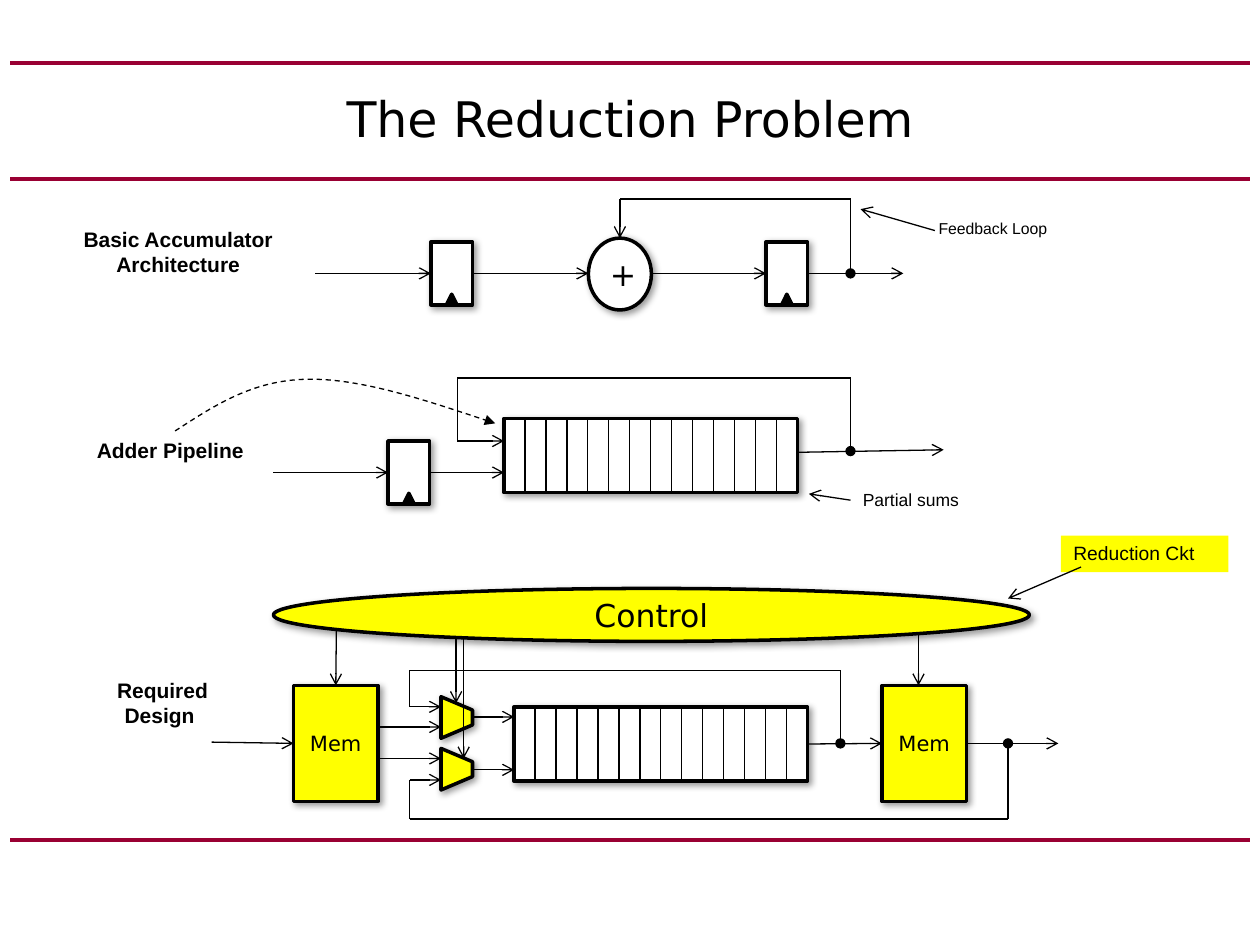
from lxml import etree
from pptx import Presentation
from pptx.dml.color import RGBColor
from pptx.enum.dml import MSO_LINE
from pptx.enum.shapes import MSO_CONNECTOR as CONN, MSO_SHAPE as SHAPE
from pptx.enum.text import MSO_ANCHOR as ANCHOR, PP_ALIGN as ALIGN
from pptx.oxml.ns import qn
from pptx.util import Inches, Pt

COLORS = {"rule": "990033", "ink": "000000", "paper": "FFFFFF", "mark": "FFFF00"}
SANS, ARIAL = "DejaVu Sans", "Arial"
TOP, LEFT, RIGHT = 0, 1, 3


def rgb(name):
    return RGBColor.from_string(COLORS[name])


def inches(*values):
    return [Inches(v) for v in values]


def write(shape, text, size, font=ARIAL, bold=False, align=ALIGN.LEFT, anchor=ANCHOR.TOP):
    tf = shape.text_frame
    tf.word_wrap = True
    tf.vertical_anchor = anchor
    p = tf.paragraphs[0]
    p.alignment = align
    r = p.add_run()
    r.text = text
    for key, value in {"name": font, "size": Pt(size), "bold": bold}.items():
        setattr(r.font, key, value)
    r.font.color.rgb = rgb("ink")


def set_ends(line, **ends):
    ln = line._get_or_add_ln()
    for tag in ("head", "tail"):
        if ends.get(tag):
            etree.SubElement(ln, qn(f"a:{tag}End"), type=ends[tag])


def add_shadow(shape):
    effects = shape._element.spPr.find(qn("a:effectLst"))
    shadow = etree.SubElement(effects, qn("a:outerShdw"), blurRad=str(Pt(4)),
                              dist=str(Pt(2)), dir="2700000", algn="tl", rotWithShape="0")
    color = etree.SubElement(shadow, qn("a:srgbClr"), val=COLORS["ink"])
    etree.SubElement(color, qn("a:alpha"), val="40000")


def add_block(s, kind, box, fill="paper", text="", size=12, shadow=True):
    sp = s.shapes.add_shape(kind, *inches(*box))
    sp.shadow.inherit = False
    sp.fill.solid()
    sp.fill.fore_color.rgb = rgb(fill)
    sp.line.color.rgb = rgb("ink")
    sp.line.width = Pt(2)
    if shadow:
        add_shadow(sp)
    if text:
        write(sp, text, size, SANS, align=ALIGN.CENTER, anchor=ANCHOR.MIDDLE)
    return sp


def add_wire(s, start, end, head=None, tail=None, begin_at=None, end_at=None,
             color="ink", width=0.75):
    wire = s.shapes.add_connector(CONN.STRAIGHT, *inches(*start, *end))
    wire.line.color.rgb = rgb(color)
    wire.line.width = Pt(width)
    set_ends(wire.line, head=head, tail=tail)
    etree.SubElement(wire._element.spPr, qn("a:effectLst"))
    if begin_at:
        wire.begin_connect(*begin_at)
    if end_at:
        wire.end_connect(*end_at)


def add_arrow(s, start, end, **joins):
    add_wire(s, start, end, tail="arrow", **joins)


def add_loop(s, *points):
    last = len(points) - 2
    for i, (start, end) in enumerate(zip(points, points[1:])):
        add_wire(s, start, end, head="oval" if i == 0 else None,
                 tail="arrow" if i == last else None)


def add_register(s, x, y):
    box = add_block(s, SHAPE.RECTANGLE, (x, y, 0.33, 0.5))
    add_block(s, SHAPE.ISOSCELES_TRIANGLE, (x + 0.125, y + 0.415, 0.08, 0.08),
              "ink", shadow=False)
    return box


def add_pipeline(s, x, y, width=2.33, height=0.59, stages=14):
    box = add_block(s, SHAPE.RECTANGLE, (x, y, width, height))
    for i in range(1, stages):
        stage_x = x + i * width / stages
        add_wire(s, (stage_x, y), (stage_x, y + height))
    return box


def add_label(s, box, text, size, fill=None, **style):
    label = s.shapes.add_textbox(*inches(*box))
    if fill:
        label.fill.solid()
        label.fill.fore_color.rgb = rgb(fill)
    write(label, text, size, **style)


def add_dashed_curve(s, start, *points):
    builder = s.shapes.build_freeform(*inches(*start), scale=1.0)
    builder.add_line_segments([inches(*pt) for pt in points], close=False)
    sp = builder.convert_to_shape()
    segments = list(sp._element.iter(qn("a:lnTo")))
    for i in range(0, len(segments), 3):
        bezier = etree.Element(qn("a:cubicBezTo"))
        segments[i].addprevious(bezier)
        for segment in segments[i:i + 3]:
            bezier.append(segment[0])
            segment.getparent().remove(segment)
    sp.shadow.inherit = False
    sp.fill.background()
    sp.line.color.rgb = rgb("ink")
    sp.line.width = Pt(0.75)
    sp.line.dash_style = MSO_LINE.DASH
    set_ends(sp.line, tail="triangle")


def add_title(s, text):
    title = s.shapes.title
    box = dict(zip(("left", "top", "width", "height"), inches(0.5, 0.5, 9, 0.87)))
    for key, value in box.items():
        setattr(title, key, value)
    write(title, text, 28, SANS, align=ALIGN.CENTER, anchor=ANCHOR.MIDDLE)


def add_accumulator(s):
    y = 2.17
    source, result = [add_register(s, x, 1.92) for x in (3.42, 6.08)]
    add_block(s, SHAPE.OVAL, (4.67, 1.89, 0.5, 0.57), text="+", size=18)
    add_arrow(s, (2.5, y), (3.42, y), end_at=(source, LEFT))
    add_arrow(s, (3.75, y), (4.67, y), begin_at=(source, RIGHT))
    add_arrow(s, (5.17, y), (6.08, y), end_at=(result, LEFT))
    add_arrow(s, (6.41, y), (7.17, y), begin_at=(result, RIGHT))
    add_loop(s, (6.75, y), (6.75, 1.58), (4.92, 1.58), (4.92, 1.89))
    add_label(s, (0.5, 1.75, 1.83, 0.51), "Basic Accumulator Architecture", 12,
              bold=True, align=ALIGN.CENTER)
    add_label(s, (7.35, 1.69, 1.08, 0.25), "Feedback Loop", 9)
    add_arrow(s, (7.42, 1.83), (6.83, 1.66))


def add_adder(s):
    source = add_register(s, 3.08, 3.5)
    add_pipeline(s, 4, 3.32)
    add_arrow(s, (2.17, 3.75), (3.08, 3.75), end_at=(source, LEFT))
    add_arrow(s, (3.41, 3.75), (4, 3.75), begin_at=(source, RIGHT))
    add_arrow(s, (6.33, 3.59), (7.49, 3.57))
    add_loop(s, (6.75, 3.58), (6.75, 3), (3.63, 3), (3.63, 3.5), (4, 3.5))
    add_label(s, (6.75, 3.83, 1, 0.27), "Partial sums", 10)
    add_arrow(s, (6.75, 3.97), (6.42, 3.92))
    add_label(s, (0.67, 3.42, 1.83, 0.3), "Adder Pipeline", 12, bold=True)
    add_dashed_curve(s, (1.39, 3.42), (1.7, 3.22), (2, 3.02), (2.43, 3.01),
                     (2.85, 3), (3.39, 3.18), (3.93, 3.36))


def add_required_design(s):
    y = 5.9
    source, result = [add_block(s, SHAPE.RECTANGLE, (x, 5.44, 0.67, 0.92), "mark", "Mem")
                      for x in (2.33, 7)]
    pipeline = add_pipeline(s, 4.08, 5.61)
    for mux_y, out_y, in_y in ((5.57, 5.69, 5.77), (5.98, 6.11, 6.02)):
        mux = add_block(s, SHAPE.TRAPEZOID, (3.46, mux_y, 0.33, 0.25), "mark")
        mux.rotation = 90
        mux.adjustments[0] = 0.424
        add_arrow(s, (3.75, out_y), (4.08, out_y))
        add_arrow(s, (3, in_y), (3.5, in_y))
    add_arrow(s, (1.68, 5.89), (2.33, y), end_at=(source, LEFT))
    add_arrow(s, (6.41, y), (7, y), begin_at=(pipeline, RIGHT), end_at=(result, LEFT))
    add_arrow(s, (7.67, y), (8.4, y), begin_at=(result, RIGHT))
    add_loop(s, (6.67, y), (6.67, 5.32), (3.25, 5.32), (3.25, 5.61), (3.5, 5.61))
    add_loop(s, (8, y), (8, 6.5), (3.25, 6.5), (3.25, 6.19), (3.5, 6.19))
    add_block(s, SHAPE.OVAL, (2.17, 4.67, 6, 0.42), "mark", "Control", 18)
    add_arrow(s, (2.67, 5), (2.67, 5.44), end_at=(source, TOP))
    for x, top, bottom in ((3.62, 5.06, 5.58), (3.68, 5.06, 6.02), (7.29, 5.02, 5.44)):
        add_arrow(s, (x, top), (x, bottom))
    add_label(s, (0.75, 5.33, 1.08, 0.51), "Required Design ", 12,
              bold=True, align=ALIGN.CENTER)
    add_label(s, (8.42, 4.25, 1.33, 0.29), "Reduction Ckt", 11, fill="mark")
    add_arrow(s, (8.58, 4.5), (8, 4.75))


def main():
    prs = Presentation()
    prs.slide_width, prs.slide_height = inches(10, 7.5)
    s = prs.slides.add_slide(prs.slide_layouts[5])
    for y in (0.5, 1.42, 6.67):
        add_wire(s, (0.08, y), (9.92, y), color="rule", width=2.25)
    add_title(s, "The Reduction Problem")
    add_accumulator(s)
    add_adder(s)
    add_required_design(s)
    prs.save("out.pptx")


if __name__ == "__main__":
    main()
